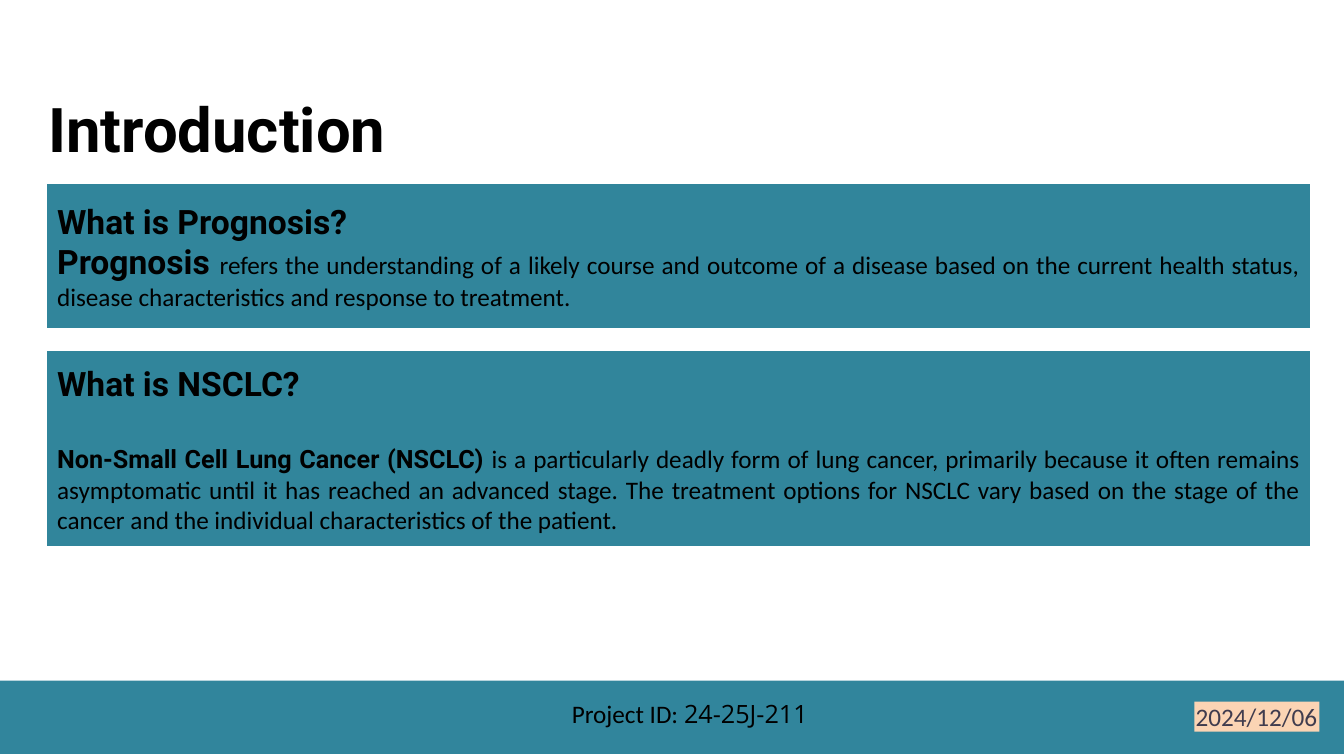
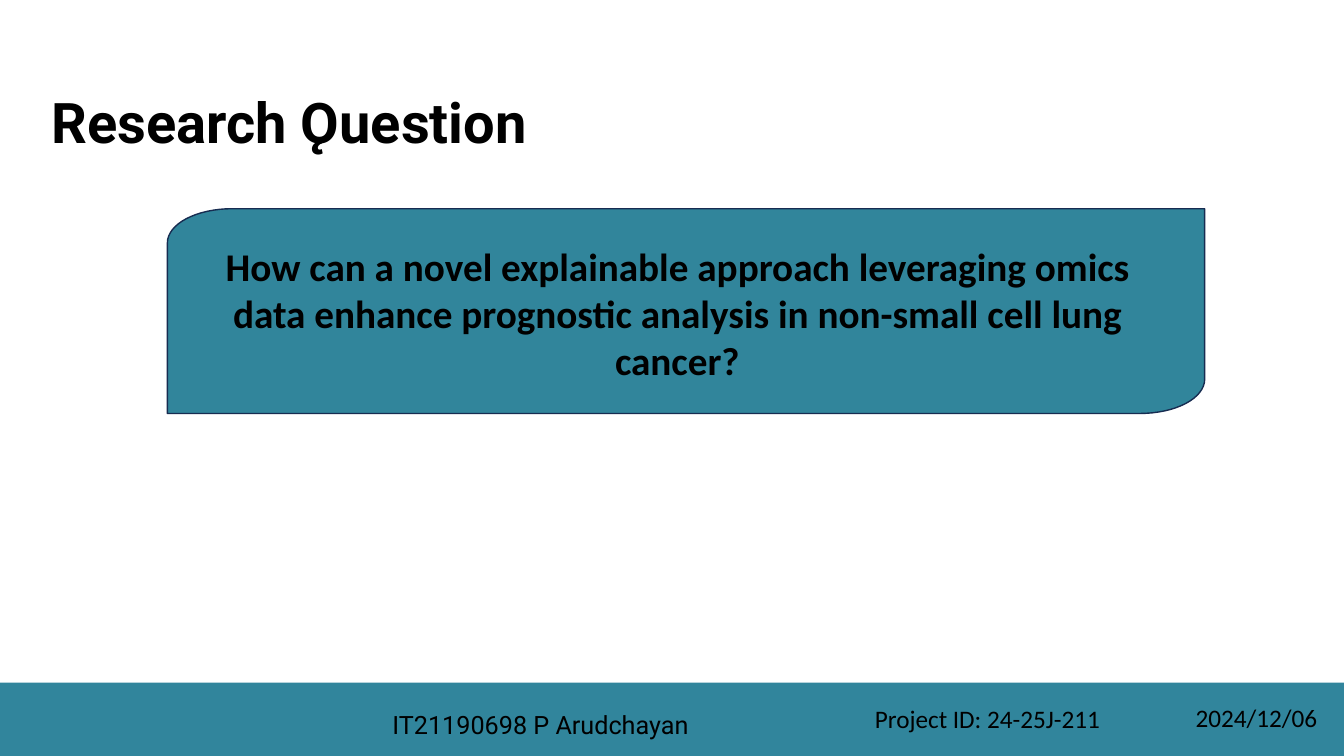
from math import cos, pi, sin

from pptx import Presentation
from pptx.dml.color import RGBColor
from pptx.enum.shapes import MSO_SHAPE as Shape
from pptx.enum.text import MSO_ANCHOR as Anchor, PP_ALIGN as Align
from pptx.util import Cm, Pt

SLIDE_WIDTH, SLIDE_HEIGHT = 33.87, 19.05
BLACK, WHITE = "000000", "FFFFFF"
BAND_TEAL, PANEL_TEAL = "31859C", "31859B"
OUTLINE, PEACH, SLATE = "172C51", "FBD4B4", "403C4E"
HEADING_FONT, BODY_FONT, CODE_FONT = "Roboto", "Calibri", "Open Sans"
TITLE_ONLY = 5
BAND_HEIGHT = 1.85
DATE_LEFT, DATE_WIDTH = 30.1, 3.15
PROJECT_CODE = "24-25J-211"
DATE = "2024/12/06"


def rgb(value):
    return RGBColor.from_string(value)


def write_text(frame, paragraphs, size=18, font=BODY_FONT, color=BLACK, bold=False,
               align=Align.LEFT, anchor=Anchor.TOP, insets=(0, 0, 0, 0), gap=0,
               line_spacing=1):
    frame.word_wrap = True
    frame.vertical_anchor = anchor
    frame.margin_left, frame.margin_top, frame.margin_right, frame.margin_bottom = map(Cm, insets)
    for index, runs in enumerate(paragraphs):
        paragraph = frame.paragraphs[0] if index == 0 else frame.add_paragraph()
        paragraph.alignment = align
        paragraph.line_spacing = line_spacing
        paragraph.space_before = Pt(gap if index else 0)
        for text, changes in runs:
            style = {"size": size, "font": font, "bold": bold, **changes}
            run = paragraph.add_run()
            run.text = text
            run.font.size = Pt(style["size"])
            run.font.name = style["font"]
            run.font.bold = style["bold"]
            run.font.color.rgb = rgb(color)


def paint(shape, fill, line=None):
    shape.shadow.inherit = False
    shape.fill.solid()
    shape.fill.fore_color.rgb = rgb(fill)
    if line:
        shape.line.color.rgb = rgb(line)
        shape.line.width = Pt(1)
    else:
        shape.line.fill.background()


def add_block(slide, box, fill, kind=Shape.RECTANGLE):
    block = slide.shapes.add_shape(kind, *map(Cm, box))
    paint(block, fill)
    return block


def add_titled_slide(deck, title_text, box, size):
    slide = deck.slides.add_slide(deck.slide_layouts[TITLE_ONLY])
    slide.background.fill.solid()
    slide.background.fill.fore_color.rgb = rgb(WHITE)
    title = slide.shapes.title
    title.left, title.top, title.width, title.height = map(Cm, box)
    write_text(title.text_frame, [[(title_text, {})]], size=size, font=HEADING_FONT,
               bold=True, insets=(0.03, 0.03, 0, 0))
    return slide


def add_footer(slide, top, entries):
    add_block(slide, (0, top, SLIDE_WIDTH, BAND_HEIGHT), BAND_TEAL)
    for runs, left, offset, width, fill, style in entries:
        label = add_block(slide, (left, top + offset, width, 0.76), fill)
        write_text(label.text_frame, [runs], insets=(0.03, 0, 0, 0), **style)


def add_definition(slide, box, paragraphs, gap=0):
    panel = add_block(slide, box, PANEL_TEAL, Shape.FLOWCHART_PROCESS)
    write_text(panel.text_frame, paragraphs, align=Align.JUSTIFY, anchor=Anchor.MIDDLE,
               insets=(0.25, 0.13, 0.25, 0.13), gap=gap)


def add_question(slide, box, text):
    left, top, width, height = box
    radius_x, radius_y, steps = 1.63, 0.86, 16
    angles = [pi / 2 * step / steps for step in range(steps + 1)]
    corner = [(left + radius_x * (1 - cos(a)), top + radius_y * (1 - sin(a))) for a in angles]
    half = corner + [(left + width, top)]
    opposite = [(2 * left + width - x, 2 * top + height - y) for x, y in half]
    outline = [(Cm(x), Cm(y)) for x, y in half + opposite]
    builder = slide.shapes.build_freeform(*outline[0])
    builder.add_line_segments(outline[1:], close=True)
    plaque = builder.convert_to_shape()
    paint(plaque, PANEL_TEAL, OUTLINE)
    write_text(plaque.text_frame, [[(text, {})]], size=28, bold=True, align=Align.CENTER,
               insets=(0.91, 0.84, 1.35, 0))


def build_introduction(deck):
    slide = add_titled_slide(deck, "Introduction", (1.19, 2.26, 10.24, 1.9), 44)
    add_footer(slide, 17.15, [
        ([("Project ID: ", {}), (PROJECT_CODE, {"font": CODE_FONT})],
         14.38, 0.45, 6.35, BAND_TEAL, {}),
        ([(DATE, {})], DATE_LEFT, 0.53, DATE_WIDTH, PEACH, {"color": SLATE}),
    ])
    heading = {"size": 24, "font": HEADING_FONT, "bold": True}
    term = {"font": HEADING_FONT, "bold": True}
    add_definition(slide, (1.19, 4.65, 31.83, 3.61), [
        [("What is Prognosis?", heading)],
        [("Prognosis ", heading),
         ("refers the understanding of a likely course and outcome of a disease based on "
          "the current health status, disease characteristics and response to treatment.", {})],
    ])
    add_definition(slide, (1.19, 8.84, 31.83, 4.93), [
        [("What is NSCLC?", heading)],
        [("Non-Small Cell Lung Cancer (NSCLC) ", term),
         ("is a particularly deadly form of lung cancer, primarily because it often remains "
          "asymptomatic until it has reached an advanced stage. The treatment options for "
          "NSCLC vary based on the stage of the cancer and the individual characteristics "
          "of the patient.", {})],
    ], gap=29)


def build_research_question(deck):
    slide = add_titled_slide(deck, "Research Ǫuestion", (1.27, 2.18, 24.18, 1.75), 40)
    add_question(slide, (4.22, 5.26, 26.14, 5.16),
                 "How can a novel explainable approach leveraging omics data enhance "
                 "prognostic analysis in non-small cell lung cancer?")
    add_footer(slide, 17.2, [
        ([("IT21190698 P Arudchayan", {})], 9.86, 0.53, 9.78, BAND_TEAL,
         {"font": HEADING_FONT, "line_spacing": 1.19}),
        ([(DATE, {})], DATE_LEFT, 0.5, DATE_WIDTH, BAND_TEAL, {}),
        ([("Project ID: " + PROJECT_CODE, {})], 22.02, 0.53, 5.84, BAND_TEAL, {}),
    ])


def main():
    deck = Presentation()
    deck.slide_width, deck.slide_height = Cm(SLIDE_WIDTH), Cm(SLIDE_HEIGHT)
    build_introduction(deck)
    build_research_question(deck)
    deck.save("out.pptx")


if __name__ == "__main__":
    main()
